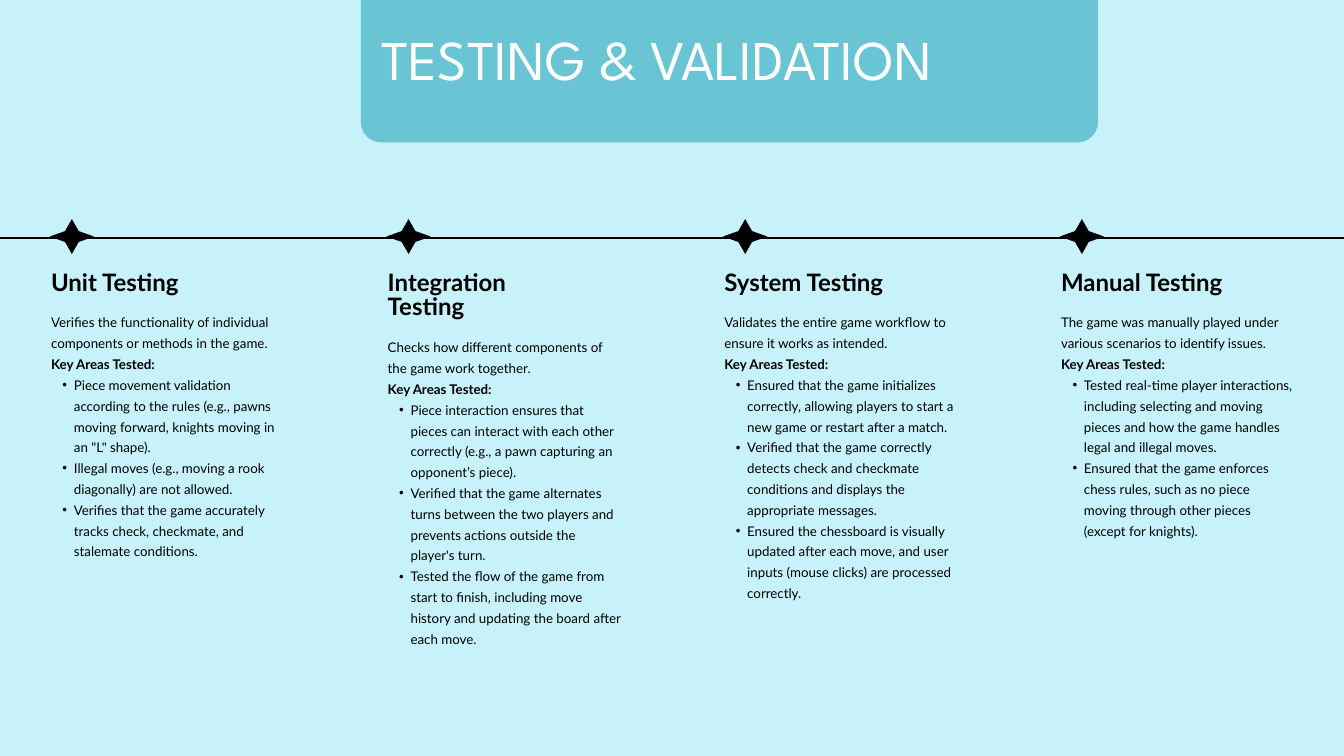
from lxml import etree
from pptx import Presentation
from pptx import util as u
from pptx.dml.color import RGBColor
from pptx.enum import shapes, text
from pptx.oxml.ns import qn

HUES = {"back": "C7F2F9", "panel": "69C4D3", "ink": "000000", "white": "FFFFFF"}
PITCH = 5.01
TESTS = [
    ("Unit Testing", 1, 3.96,
     "Verifies the functionality of individual components or methods in the game.",
     ["Piece movement validation according to the rules (e.g., pawns moving forward, "
      "knights moving in an \"L\" shape).",
      "Illegal moves (e.g., moving a rook diagonally) are not allowed.",
      "Verifies that the game accurately tracks check, checkmate, and stalemate conditions."]),
    ("Integration Testing", 2, 4.8,
     "Checks how different components of the game work together.",
     ["Piece interaction ensures that pieces can interact with each other correctly "
      "(e.g., a pawn capturing an opponent’s piece).",
      "Verified that the game alternates turns between the two players and prevents "
      "actions outside the player's turn.",
      "Tested the flow of the game from start to finish, including move history and "
      "updating the board after each move."]),
    ("System Testing", 1, 4.8,
     "Validates the entire game workflow to ensure it works as intended.",
     ["Ensured that the game initializes correctly, allowing players to start a new "
      "game or restart after a match.",
      "Verified that the game correctly detects check and checkmate conditions and "
      "displays the appropriate messages.",
      "Ensured the chessboard is visually updated after each move, and user inputs "
      "(mouse clicks) are processed correctly."]),
    ("Manual Testing", 1, 3.89,
     "The game was manually played under various scenarios to identify issues.",
     ["Tested real-time player interactions, including selecting and moving pieces and "
      "how the game handles legal and illegal moves.",
      "Ensured that the game enforces chess rules, such as no piece moving through "
      "other pieces (except for knights)."]),
]


def tint(hue):
    return RGBColor.from_string(HUES[hue])


def add_form(slide, kind, box, hue, bend):
    form = slide.shapes.add_shape(kind, *map(u.Inches, box))
    form.shadow.inherit = False
    form.adjustments[0] = bend
    form.fill.solid()
    form.fill.fore_color.rgb = tint(hue)
    form.line.fill.background()


def add_rule(slide, left, right, top):
    rule = slide.shapes.add_connector(
        shapes.MSO_CONNECTOR.STRAIGHT,
        u.Inches(left), u.Inches(top), u.Inches(right), u.Inches(top))
    rule.line.color.rgb = tint("ink")
    rule.line.width = u.Pt(2.25)
    etree.SubElement(rule._element.spPr, qn("a:effectLst"))


def add_box(slide, box):
    frame = slide.shapes.add_textbox(*map(u.Inches, box)).text_frame
    frame.margin_left = frame.margin_top = 0
    frame.margin_right = frame.margin_bottom = 0
    frame.word_wrap = True
    frame.auto_size = text.MSO_AUTO_SIZE.SHAPE_TO_FIT_TEXT
    return frame


def add_line(frame, words, size, lead, font="Lato", hue="ink", bold=False, dot=False):
    first = frame.paragraphs[0]
    para = frame.add_paragraph() if first.runs else first
    para.line_spacing = u.Pt(lead)
    if dot:
        para.level = 1
        props = para._p.get_or_add_pPr()
        props.set("marL", str(u.Inches(0.34)))
        props.set("indent", str(u.Inches(-0.17)))
        etree.SubElement(props, qn("a:buFont"), typeface="Arial")
        etree.SubElement(props, qn("a:buChar"), char="•")
    run = para.add_run()
    run.text = words
    run.font.name = font
    run.font.size = u.Pt(size)
    run.font.bold = bold
    run.font.color.rgb = tint(hue)


def add_test(slide, step, name, rows, height, intro, areas):
    shift = step * PITCH
    left = 0.76 + shift
    extra = 0.37 * (rows - 1)
    add_form(slide, shapes.MSO_SHAPE.STAR_4_POINT, (0.74 + shift, 3.26, 0.66, 0.52),
             "ink", 0.22)
    head = add_box(slide, (left, 4.04, 2.88, 0.4 + extra))
    add_line(head, name, 25.7, 26.4, bold=True)
    body = add_box(slide, (left, 4.61 + extra, 3.47, height))
    add_line(body, intro, 14.3, 22.3)
    add_line(body, "Key Areas Tested:", 14.3, 22.3, bold=True)
    for area in areas:
        add_line(body, area, 14.3, 22.3, dot=True)


def main():
    deck = Presentation()
    deck.slide_width = u.Inches(20)
    deck.slide_height = u.Inches(11.25)
    slide = deck.slides.add_slide(deck.slide_layouts[6])
    slide.background.fill.solid()
    slide.background.fill.fore_color.rgb = tint("back")
    add_rule(slide, -0.97, 20.97, 3.54)
    for step, test in enumerate(TESTS):
        add_test(slide, step, *test)
    add_form(slide, shapes.MSO_SHAPE.ROUNDED_RECTANGLE, (5.37, -1.27, 10.97, 3.39),
             "panel", 0.09)
    title = add_box(slide, (5.67, 0.19, 10.36, 1.11))
    add_line(title, "TESTING & VALIDATION", 60.1, 84.2, "League Spartan", "white")
    deck.save("out.pptx")


if __name__ == "__main__":
    main()
